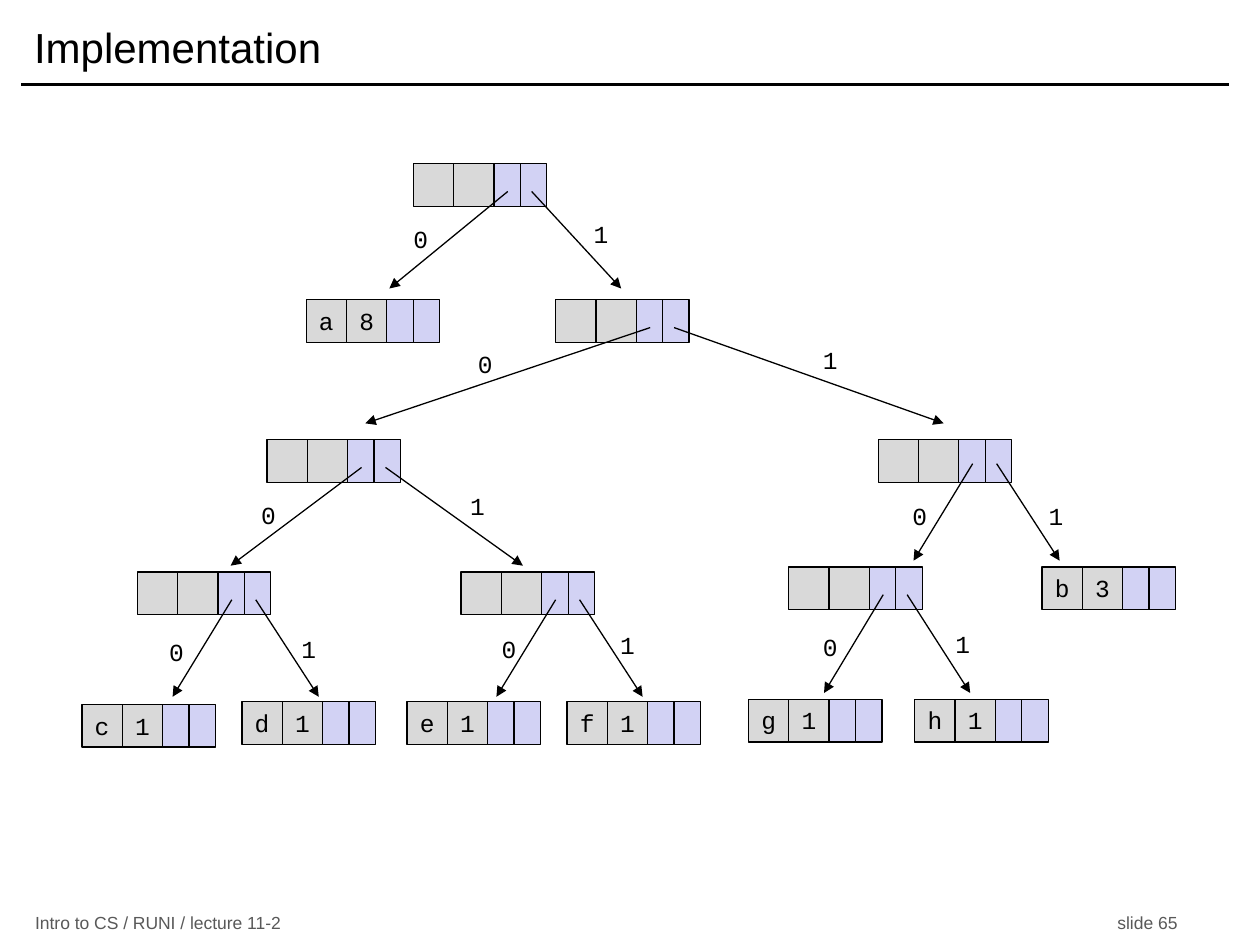
from lxml.etree import SubElement
from pptx import Presentation
from pptx.dml.color import RGBColor
from pptx.enum.shapes import MSO_CONNECTOR, MSO_SHAPE
from pptx.enum.text import MSO_ANCHOR, MSO_AUTO_SIZE, PP_ALIGN
from pptx.oxml.ns import qn
from pptx.util import Inches, Pt

BLACK, GRAY, LILAC, FOOTER = "000000", "D9D9D9", "D2D2F4", "595959"
CELL_H = 0.34
CELLS = [(0, 0.32, GRAY), (0.32, 0.32, GRAY), (0.64, 0.21, LILAC), (0.85, 0.21, LILAC)]
POINTERS = (0.75, 0.94)  # where the two child arrows leave a node


def rgb(value):
    return RGBColor.from_string(value)


class TreeSlide:
    """Holds the style and the current slide."""
    label_frame = dict(margin_left=0, margin_right=0, word_wrap=True,
                       vertical_anchor=MSO_ANCHOR.TOP,
                       auto_size=MSO_AUTO_SIZE.SHAPE_TO_FIT_TEXT)
    label_font = dict(name="Courier New", size=Pt(14))
    title_font = dict(name="Arial", size=Pt(24))
    footer_font = dict(name="Arial", size=Pt(10))

    def __init__(self, prs):
        self.s = prs.slides.add_slide(prs.slide_layouts[5])

    def set_text(self, sp, text, font, frame, color=BLACK, align=PP_ALIGN.LEFT):
        tf = sp.text_frame
        for name, value in frame.items():
            setattr(tf, name, value)
        p = tf.paragraphs[0]
        p.alignment = align
        r = p.add_run()
        r.text = text
        for name, value in font.items():
            setattr(r.font, name, value)
        r.font.color.rgb = rgb(color)
        return p

    def title(self, text, x, y, w, h):
        sp = self.s.shapes.title
        sp.left, sp.top, sp.width, sp.height = map(Inches, (x, y, w, h))
        self.set_text(sp, text, self.title_font, dict(vertical_anchor=MSO_ANCHOR.MIDDLE))

    def footer(self, left, right, tab, x, y, w, h):
        sp = self.s.shapes.add_textbox(*map(Inches, (x, y, w, h)))
        frame = dict(vertical_anchor=MSO_ANCHOR.MIDDLE, word_wrap=True)
        p = self.set_text(sp, f"{left}\t{right}", self.footer_font, frame, FOOTER)
        tabs = SubElement(p._p.get_or_add_pPr(), qn("a:tabLst"))
        SubElement(tabs, qn("a:tab"), pos=str(Inches(tab)), algn="l")

    def line(self, x1, y1, x2, y2, width=0.75, arrow=True):
        sp = self.s.shapes.add_connector(MSO_CONNECTOR.STRAIGHT,
                                         *map(Inches, (x1, y1, x2, y2)))
        sp.line.color.rgb = rgb(BLACK)
        sp.line.width = Pt(width)
        if arrow:
            SubElement(sp.line._get_or_add_ln(), qn("a:tailEnd"), type="triangle")
        SubElement(sp._element.spPr, qn("a:effectLst"))

    def label(self, text, x, y):
        sp = self.s.shapes.add_textbox(*map(Inches, (x, y, 0.32, CELL_H)))
        self.set_text(sp, text, self.label_font, self.label_frame, align=PP_ALIGN.CENTER)

    def node(self, x, y, text=""):
        """Four cells: symbol, frequency and two child pointers."""
        group = self.s.shapes.add_group_shape()
        for i, (dx, w, fill) in enumerate(CELLS):
            sp = group.shapes.add_shape(MSO_SHAPE.RECTANGLE,
                                        *map(Inches, (x + dx, y, w, CELL_H)))
            sp.shadow.inherit = False
            sp.fill.solid()
            sp.fill.fore_color.rgb = rgb(fill)
            sp.line.color.rgb = rgb(BLACK)
            sp.line.width = Pt(0.75)
            if i < len(text):
                self.set_text(sp, text[i], self.label_font, self.label_frame,
                              align=PP_ALIGN.CENTER)

    def branches(self, x, top, bottom, tips, labels):
        """Arrows to both children, labelled 0 and 1."""
        for bit, (dx, tip, place) in enumerate(zip(POINTERS, tips, labels)):
            self.line(x + dx, top, tip, bottom)
            self.label(str(bit), *place)


# Leaves: left, top, symbol and frequency
LEAVES = [
    (2.43, 2.38, "a8"), (8.27, 4.5, "b3"),
    (0.65, 5.59, "c1"), (1.92, 5.57, "d1"), (3.23, 5.57, "e1"),
    (4.5, 5.57, "f1"), (5.94, 5.55, "g1"), (7.26, 5.55, "h1"),
]
# Inner nodes: left, top, arrow start and end heights, arrow tips, label places
INNER = [
    (3.28, 1.3, 1.52, 2.29, (3.09, 4.93), ((3.18, 1.73), (4.61, 1.69))),
    (4.41, 2.38, 2.6, 3.36, (2.9, 7.49), ((3.69, 2.72), (6.43, 2.69))),
    (2.12, 3.49, 3.71, 4.49, (1.83, 4.15), ((1.97, 3.92), (3.63, 3.85))),
    (6.97, 3.49, 3.68, 4.45, (7.25, 8.41), ((7.14, 3.93), (8.22, 3.93))),
    (1.09, 4.54, 4.76, 5.53, (1.37, 2.53), ((1.24, 5.01), (2.29, 4.98))),
    (3.66, 4.54, 4.76, 5.53, (3.94, 5.1), ((3.88, 4.98), (4.82, 4.95))),
    (6.26, 4.5, 4.72, 5.5, (6.54, 7.7), ((6.43, 4.97), (7.48, 4.94))),
]


def main():
    prs = Presentation()
    prs.slide_width, prs.slide_height = Inches(10), Inches(7.5)
    slide = TreeSlide(prs)

    # Title, rule and footer
    slide.line(0.17, 0.67, 9.75, 0.67, width=2, arrow=False)
    slide.footer("Intro to CS / RUNI / lecture 11-2", "slide 65", 8.59,
                 0.18, 7.23, 9.42, 0.19)
    slide.title("Implementation", 0.17, 0.08, 9.58, 0.58)

    # Tree
    for leaf in LEAVES:
        slide.node(*leaf)
    for x, y, *arrows in INNER:
        slide.node(x, y)
        slide.branches(x, *arrows)

    prs.save("out.pptx")


if __name__ == "__main__":
    main()
